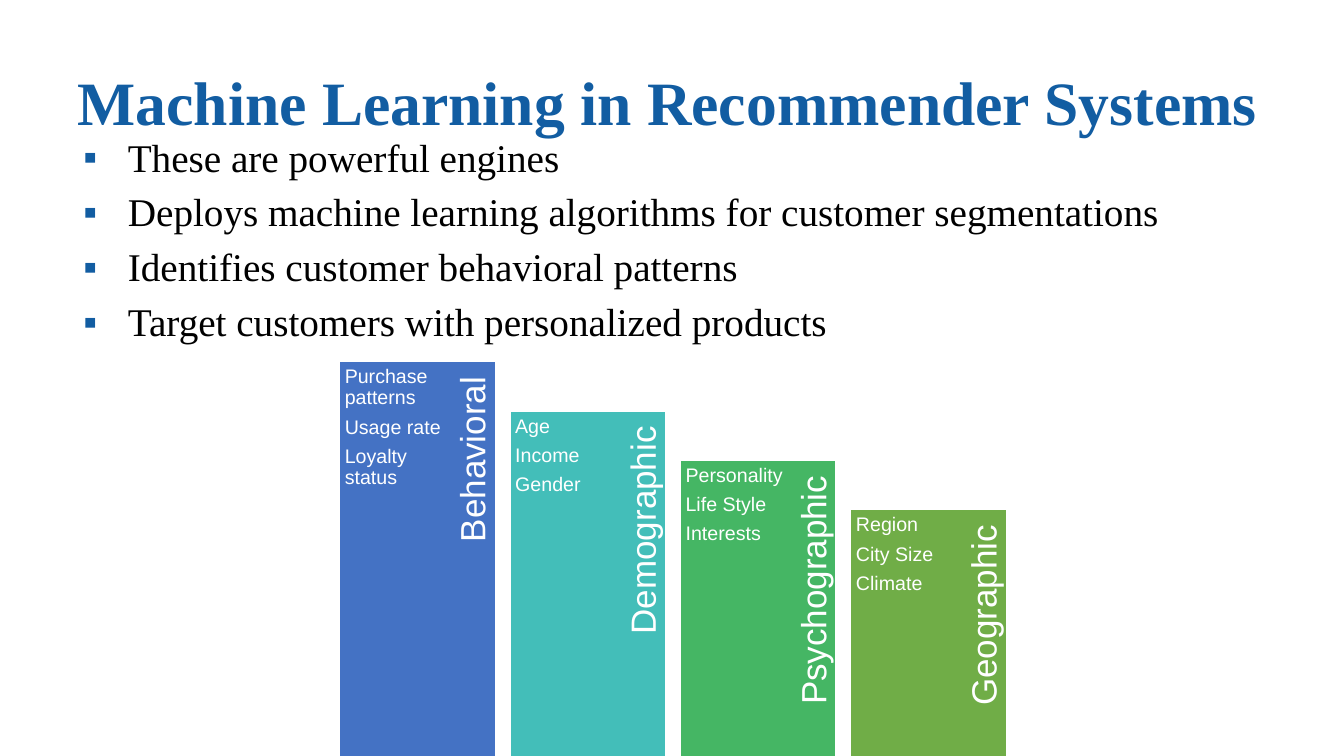
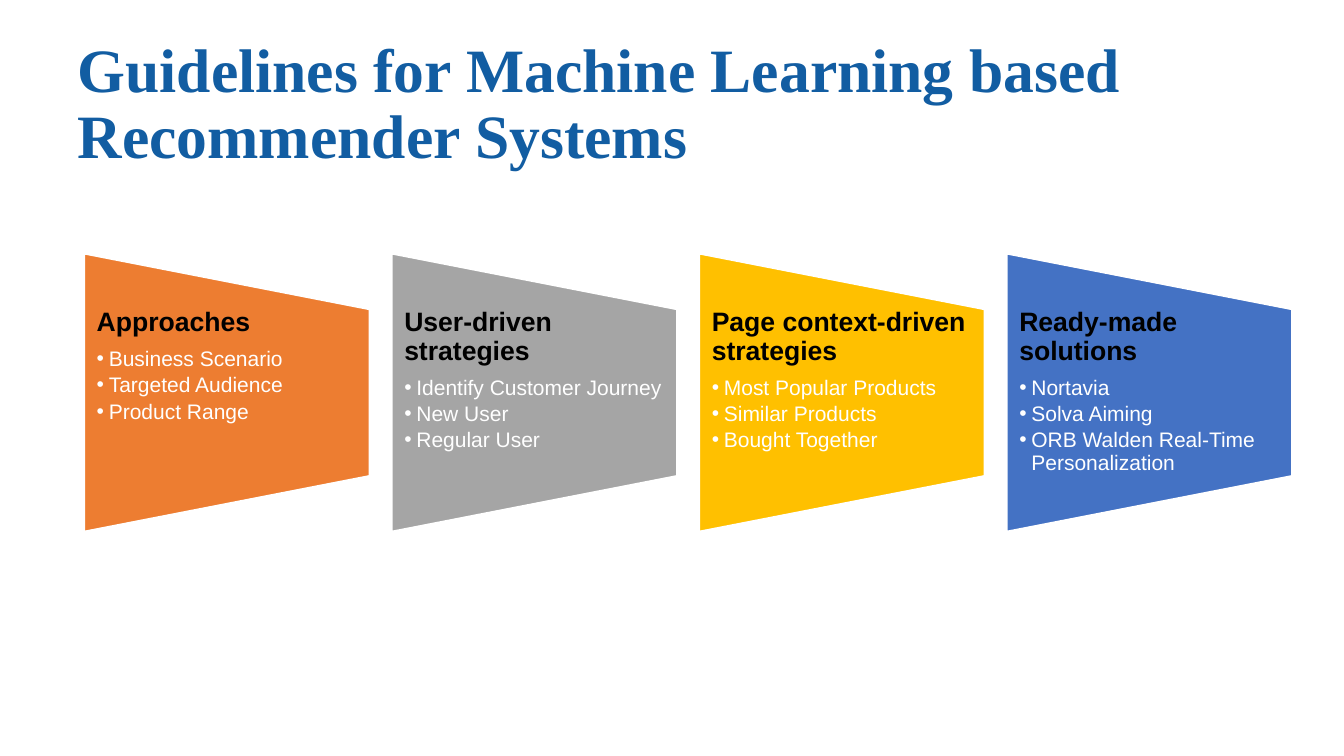
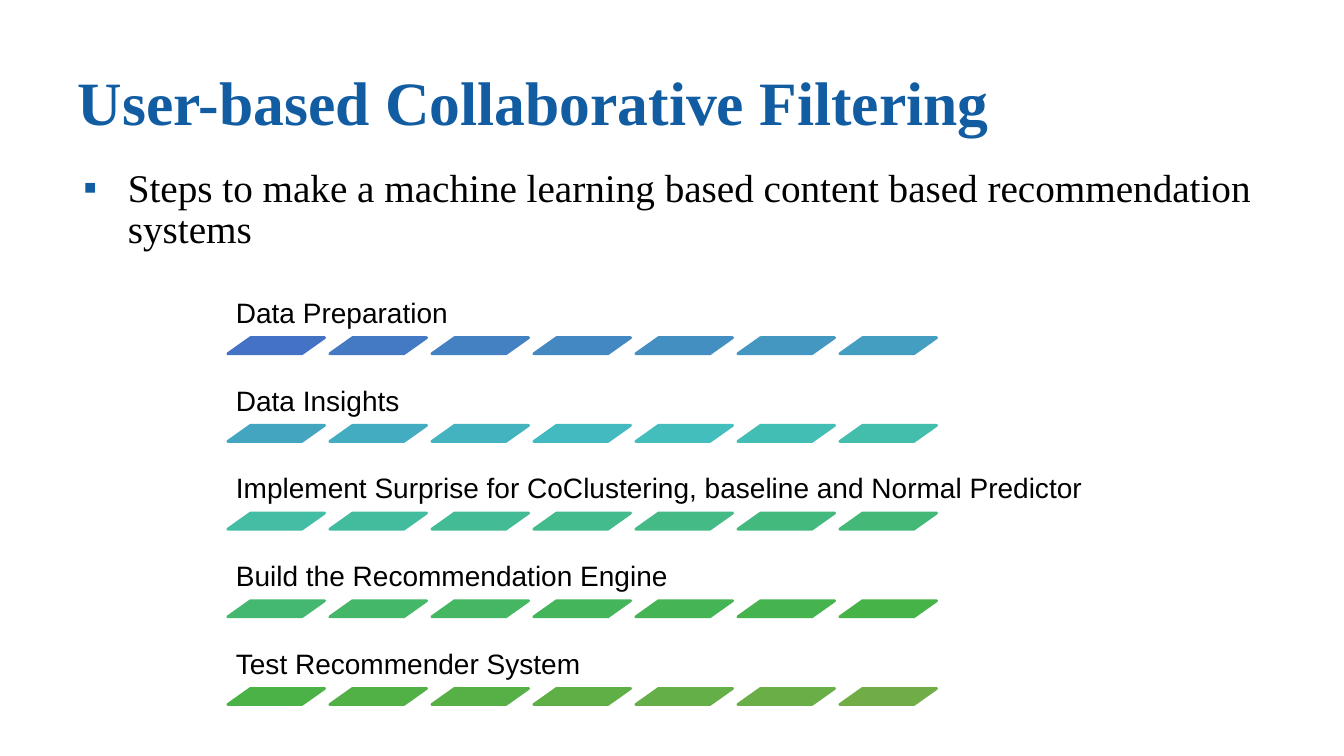
from colorsys import hls_to_rgb, rgb_to_hls

from lxml.etree import SubElement
from pptx import Presentation
from pptx.dml.color import RGBColor
from pptx.enum.shapes import MSO_SHAPE as SHAPE
from pptx.enum.text import MSO_ANCHOR as ANCHOR, MSO_AUTO_SIZE as AUTO, PP_ALIGN as ALIGN
from pptx.oxml.ns import qn
from pptx.util import Inches, Pt

SERIF, SANS = "Times New Roman", "Arial"
NAVY, BLACK, WHITE = "125DA2", "000000", "FFFFFF"
BLUE, GREEN = "4472C4", "70AD47"
LINE_HEIGHT = 1.15
MARGIN, CONTENT_W = 0.67, 12


def rgb(color):
    return RGBColor.from_string(color)


def blend(start, end, share):
    """Colour between two hex colours, mixed by hue, lightness and saturation."""
    a, b = (rgb_to_hls(*(v / 255 for v in rgb(c))) for c in (start, end))
    mixed = hls_to_rgb(*(u + (v - u) * share for u, v in zip(a, b)))
    return "".join(f"{round(v * 255):02X}" for v in mixed)


def add_shape(s, kind, box, fill, line=WHITE):
    sp = s.shapes.add_shape(kind, *map(Inches, box))
    sp.shadow.inherit = False
    sp.fill.solid()
    sp.fill.fore_color.rgb = rgb(fill)
    sp.line.color.rgb = rgb(line)
    sp.line.width = Pt(2)
    return sp


def set_frame(tf, insets, anchor):
    tf.word_wrap = True
    tf.auto_size = AUTO.NONE
    tf.vertical_anchor = anchor
    tf.margin_left, tf.margin_top, tf.margin_right, tf.margin_bottom = map(Inches, insets)


def add_text_box(s, box, insets, anchor=ANCHOR.TOP):
    sp = s.shapes.add_textbox(*map(Inches, box))
    set_frame(sp.text_frame, insets, anchor)
    return sp


def write(tf, text, size, color, font=SANS, bold=False, align=ALIGN.LEFT,
          spacing=0.9, before=0, after=0.0):
    """Add a paragraph; after is a share of the line height."""
    p = tf.paragraphs[0]
    if p.runs:
        p = tf.add_paragraph()
    p.alignment = align
    p.line_spacing = spacing
    p.space_before = Pt(before)
    p.space_after = Pt(round(size * LINE_HEIGHT * after, 1))
    r = p.add_run()
    r.text = text
    r.font.name, r.font.size, r.font.bold = font, Pt(size), bold
    r.font.color.rgb = rgb(color)
    return p


def set_bullet(p, char, color, left, hanging):
    pPr = p._p.get_or_add_pPr()
    pPr.set("marL", str(Inches(left)))
    pPr.set("indent", str(-Inches(hanging)))
    SubElement(SubElement(pPr, qn("a:buClr")), qn("a:srgbClr")).set("val", color)
    SubElement(pPr, qn("a:buFont")).set("typeface", SANS)
    SubElement(pPr, qn("a:buChar")).set("char", char)


def add_titled_slide(prs, title):
    s = prs.slides.add_slide(prs.slide_layouts[5])
    sp = s.shapes.title
    sp.left, sp.top, sp.width, sp.height = map(Inches, (MARGIN, 0.28, CONTENT_W, 1.53))
    set_frame(sp.text_frame, (0.1, 0.05, 0.1, 0.05), ANCHOR.MIDDLE)
    write(sp.text_frame, title, 44, NAVY, SERIF, bold=True)
    return s


def add_bullets(s, top, height, items):
    tf = add_text_box(s, (MARGIN, top, CONTENT_W, height), (0.1, 0.05, 0.1, 0.05)).text_frame
    for i, item in enumerate(items):
        p = write(tf, item, 28, BLACK, SERIF, spacing=0.88, before=9.6 if i else 0)
        set_bullet(p, "▪", NAVY, 0.5, 0.44)


def add_segment_column(s, box, color, name, traits):
    """Bar with a list at its left and a name reading upwards at its right."""
    x, y, w, h = box
    add_shape(s, SHAPE.RECTANGLE, box, color)
    length, thickness, center_x = 0.9 * h, 0.4, x + 0.87 * w
    label = add_text_box(
        s, (center_x - length / 2, y + (length - thickness) / 2, length, thickness),
        (0.1, 0, 0.16, 0.03), ANCHOR.MIDDLE)
    label.rotation = 270
    write(label.text_frame, name, 25, WHITE, align=ALIGN.RIGHT)
    tf = add_text_box(s, (x, y, 1.1, h), (0.06,) * 4).text_frame
    for trait in traits:
        write(tf, trait, 14, WHITE, after=0.35)


def add_guideline_card(s, box, color, heading, items):
    """Trapezoid narrowing to the right, with text in its middle three fifths."""
    x, y, w, h = box
    inset = (w - h) / 2
    sp = add_shape(s, SHAPE.FLOWCHART_MANUAL_OPERATION, (x + inset, y - inset, h, w), color)
    sp.rotation = 270
    tf = add_text_box(s, (x, y + h / 5, w, h * 3 / 5), (0.13, 0, 0.13, 0)).text_frame
    write(tf, heading, 19, BLACK, bold=True, after=0.35)
    for item in items:
        set_bullet(write(tf, item, 15, WHITE, after=0.15), "•", WHITE, 0.12, 0.12)


def add_step(s, box, text, colors):
    """Caption over a row of slanted dashes."""
    x, y, w, h = box
    tf = add_text_box(s, box, (0.08,) * 4, ANCHOR.BOTTOM).text_frame
    write(tf, text, 20, BLACK)
    dash_pitch = 6.07 / 6
    for i, color in enumerate(colors):
        dash = add_shape(s, SHAPE.PARALLELOGRAM, (x + i * dash_pitch, y + h, 0.96, 0.16), color, color)
        dash.adjustments[0] = 1.41


def build_segments(prs):
    s = add_titled_slide(prs, "Machine Learning in Recommender Systems")
    add_bullets(s, 1.33, 2.3, [
        "These are powerful engines",
        "Deploys machine learning algorithms for customer segmentations",
        "Identifies customer behavioral patterns",
        "Target customers with personalized products",
    ])
    segments = [
        ("Behavioral", ["Purchase patterns", "Usage rate", "Loyalty status"]),
        ("Demographic", ["Age", "Income", "Gender"]),
        ("Psychographic", ["Personality", "Life Style", "Interests"]),
        ("Geographic", ["Region", "City Size", "Climate"]),
    ]
    bottom = 7.52
    for i, (name, traits) in enumerate(segments):
        top = 3.58 + 0.49 * i
        color = blend(BLUE, GREEN, i / (len(segments) - 1))
        add_segment_column(s, (3.36 + 1.69 * i, top, 1.56, bottom - top), color, name, traits)


def build_guidelines(prs):
    s = add_titled_slide(prs, "Guidelines for Machine Learning based Recommender Systems")
    cards = [
        ("ED7D31", "Approaches", ["Business Scenario", "Targeted Audience", "Product Range"]),
        ("A5A5A5", "User-driven strategies", ["Identify Customer Journey", "New User", "Regular User"]),
        ("FFC000", "Page context-driven strategies",
         ["Most Popular Products", "Similar Products", "Bought Together"]),
        (BLUE, "Ready-made solutions",
         ["Nortavia", "Solva Aiming", "ORB Walden Real-Time Personalization"]),
    ]
    for i, card in enumerate(cards):
        add_guideline_card(s, (0.83 + 3.05 * i, 2.51, 2.84, 2.77), *card)


def build_steps(prs):
    s = add_titled_slide(prs, "User-based Collaborative Filtering")
    add_bullets(s, 1.63, 1.07, [
        "Steps to make a machine learning based content based recommendation systems",
    ])
    steps = [
        ("Data Preparation", 7.17),
        ("Data Insights", 7.17),
        ("Implement Surprise for CoClustering, baseline and Normal Predictor", 8.81),
        ("Build the Recommendation Engine", 7.17),
        ("Test Recommender System", 7.17),
    ]
    dashes = 7
    last = len(steps) * dashes - 1
    for row, (text, width) in enumerate(steps):
        colors = [blend(BLUE, GREEN, (row * dashes + i) / last) for i in range(dashes)]
        add_step(s, (2.26, 2.7 + 0.87 * row, width, 0.65), text, colors)


def main():
    prs = Presentation()
    prs.slide_width, prs.slide_height = Inches(13.33), Inches(7.5)
    build_segments(prs)
    build_guidelines(prs)
    build_steps(prs)
    prs.save("out.pptx")


if __name__ == "__main__":
    main()
